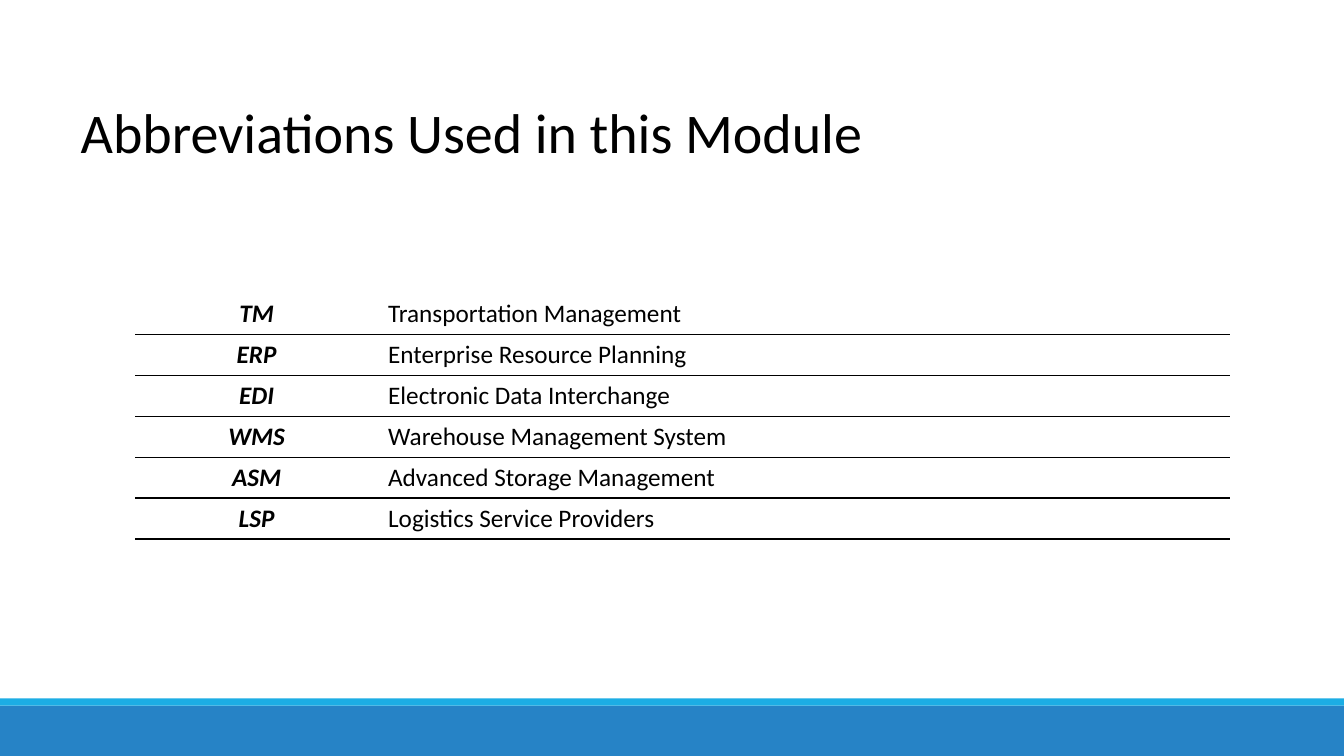
from lxml.etree import SubElement
from pptx import Presentation
from pptx.dml.color import RGBColor
from pptx.enum.shapes import MSO_SHAPE
from pptx.enum.text import MSO_ANCHOR, PP_ALIGN
from pptx.oxml.ns import qn
from pptx.util import Inches, Pt

FONT = "Calibri"
COLORS = {"text": "000000", "rule": "000000", "footer": "2683C6", "accent": "1CADE4"}
ABBREVIATIONS = [
    ("TM", "Transportation Management"),
    ("ERP", "Enterprise Resource Planning"),
    ("EDI", "Electronic Data Interchange"),
    ("WMS", "Warehouse Management System"),
    ("ASM", "Advanced Storage Management"),
    ("LSP", "Logistics Service Providers"),
]


def rgb(name):
    return RGBColor.from_string(COLORS[name])


def format_text(paragraph, size, emphasis=False):
    font = paragraph.runs[0].font
    font.name = FONT
    font.size = Pt(size)
    font.bold = font.italic = emphasis
    font.color.rgb = rgb("text")


def add_bar(slide, top, height, color):
    bar = slide.shapes.add_shape(
        MSO_SHAPE.RECTANGLE, 0, Inches(top), Inches(13.33), Inches(height))
    bar.shadow.inherit = False
    bar.fill.solid()
    bar.fill.fore_color.rgb = rgb(color)
    bar.line.fill.background()


def set_title(slide, text):
    title = slide.shapes.title
    title.left, title.top = Inches(0.7), Inches(0.92)
    title.width, title.height = Inches(8.57), Inches(0.77)
    frame = title.text_frame
    frame.text = text
    frame.word_wrap = True
    frame.vertical_anchor = MSO_ANCHOR.TOP
    paragraph = frame.paragraphs[0]
    paragraph.alignment = PP_ALIGN.LEFT
    paragraph.line_spacing = 1.0
    paragraph.space_before = Pt(0)
    format_text(paragraph, 40)


def set_borders(cell, ruled_sides):
    """Draw a 1 pt rule on the given sides and clear the other ones."""
    properties = cell._tc.get_or_add_tcPr()
    for side in "LRTB":
        line = SubElement(properties, qn(f"a:ln{side}"), w=str(Pt(1)))
        if side in ruled_sides:
            fill = SubElement(line, qn("a:solidFill"))
            SubElement(fill, qn("a:srgbClr"), val=COLORS["rule"])
        else:
            SubElement(line, qn("a:noFill"))


def add_abbreviation_table(slide, entries):
    table = slide.shapes.add_table(
        len(entries), 2, Inches(1.34), Inches(2.91), Inches(10.86), Inches(2.44)).table
    table.first_row = table.horz_banding = False
    for column, width in zip(table.columns, (2.41, 8.45)):
        column.width = Inches(width)

    for row_index, entry in enumerate(entries):
        for column_index, text in enumerate(entry):
            cell = table.cell(row_index, column_index)
            is_abbreviation = column_index == 0
            cell.text = text
            paragraph = cell.text_frame.paragraphs[0]
            paragraph.alignment = PP_ALIGN.CENTER if is_abbreviation else PP_ALIGN.LEFT
            format_text(paragraph, 18, emphasis=is_abbreviation)
            set_borders(cell, "TB" if row_index else "B")
            cell.fill.background()


def main():
    deck = Presentation()
    deck.slide_width, deck.slide_height = Inches(13.33), Inches(7.5)
    slide = deck.slides.add_slide(deck.slide_layouts[5])
    add_bar(slide, 7, 0.5, "footer")
    add_bar(slide, 6.93, 0.07, "accent")
    add_abbreviation_table(slide, ABBREVIATIONS)
    set_title(slide, "Abbreviations Used in this Module")
    deck.save("out.pptx")


if __name__ == "__main__":
    main()
